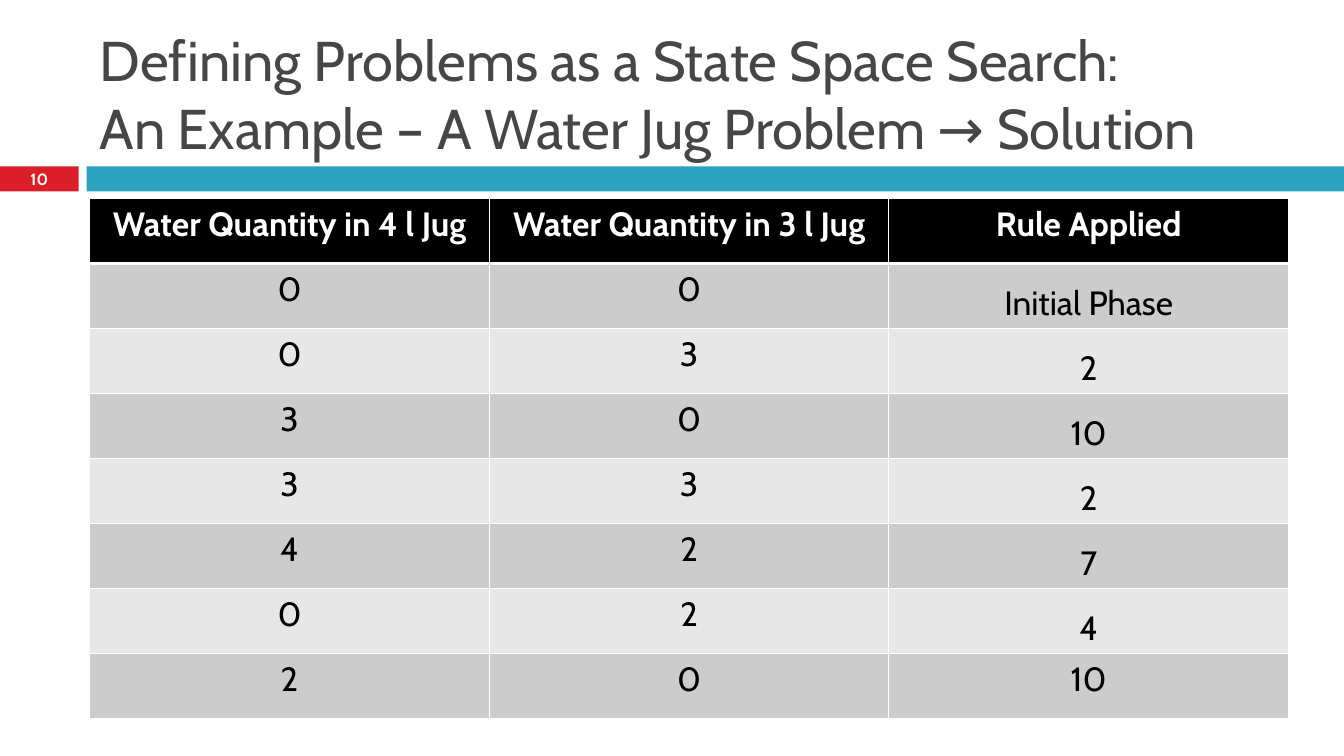
from lxml import etree
from pptx import Presentation
from pptx import util as u
from pptx.dml.color import RGBColor
from pptx.enum import shapes, text
from pptx.oxml.ns import qn

FONT = "Cabin"
LEFT, WIDTH = 0.89, 11.89
BAR_TOP, BAR_H, NUM_W = 1.65, 0.25, 0.78


def color(fmt, value):
    """Give a fill or a font a solid hex colour."""
    if hasattr(fmt, "solid"):
        fmt.solid()
        fmt.fore_color.rgb = RGBColor.from_string(value)
    else:
        fmt.color.rgb = RGBColor.from_string(value)


def style(tf, size, value, bold=False, align=text.PP_ALIGN.CENTER):
    """Format all the text of a frame."""
    for p in tf.paragraphs:
        p.alignment = align
        for r in p.runs:
            r.font.name, r.font.size, r.font.bold = FONT, u.Pt(size), bold
            color(r.font, value)


prs = Presentation()
prs.slide_width, prs.slide_height = u.Inches(13.33), u.Inches(7.5)
s = prs.slides.add_slide(prs.slide_layouts[6])

# Red and blue bars
for x, w, fill in [(0, NUM_W, "DA1F28"), (0.86, 12.47, "2DA2BF")]:
    sp = s.shapes.add_shape(shapes.MSO_SHAPE.RECTANGLE, u.Inches(x),
                            u.Inches(BAR_TOP), u.Inches(w), u.Inches(BAR_H))
    sp.shadow.inherit = False
    sp.line.fill.background()
    color(sp.fill, fill)

# Title
sp = s.shapes.add_textbox(u.Inches(LEFT), u.Inches(0.17),
                          u.Inches(WIDTH), u.Inches(1.47))
tf = sp.text_frame
tf.word_wrap = True
tf.vertical_anchor = text.MSO_ANCHOR.BOTTOM
tf.text = ("Defining Problems as a State Space Search: \v"
           "An Example – A Water Jug Problem → Solution")
style(tf, 40, "464646", align=text.PP_ALIGN.LEFT)

# Solution table
rows = [
    ("Water Quantity in 4 l Jug", "Water Quantity in 3 l Jug", "Rule Applied"),
    ("0", "0", "Initial Phase"),
    ("0", "3", "2"),
    ("3", "0", "10"),
    ("3", "3", "2"),
    ("4", "2", "7"),
    ("0", "2", "4"),
    ("2", "0", "10"),
]
table = s.shapes.add_table(len(rows), 3, u.Inches(LEFT), u.Inches(1.97),
                           u.Inches(WIDTH), u.Inches(5.16)).table
for i, row in enumerate(rows):
    for j, value in enumerate(row):
        cell = table.cell(i, j)
        cell.text = value
        header = i == 0
        style(cell.text_frame, 24, "FFFFFF" if header else "000000", header)
        # Rules sit at the bottom of their cells, except in the last row
        if j == 2 and 0 < i < len(rows) - 1:
            cell.vertical_anchor = text.MSO_ANCHOR.BOTTOM
        # White borders, thicker below the header
        tcPr = cell._tc.get_or_add_tcPr()
        for side in ("lnL", "lnR", "lnT", "lnB"):
            thick = (i, side) in [(0, "lnB"), (1, "lnT")]
            ln = etree.SubElement(tcPr, qn(f"a:{side}"),
                                  w=str(u.Pt(3 if thick else 1)))
            solid = etree.SubElement(ln, qn("a:solidFill"))
            etree.SubElement(solid, qn("a:srgbClr"), val="FFFFFF")
        color(cell.fill, "000000" if header else ("E7E7E7", "CCCCCC")[i % 2])

# Slide number
sp = s.shapes.add_textbox(0, u.Inches(BAR_TOP - 0.01),
                          u.Inches(NUM_W), u.Inches(0.27))
tf = sp.text_frame
tf.word_wrap = True
tf.margin_top = tf.margin_bottom = 0
tf.vertical_anchor = text.MSO_ANCHOR.MIDDLE
tf.text = "10"
style(tf, 11.7, "FFFFFF", True)

prs.save("out.pptx")
